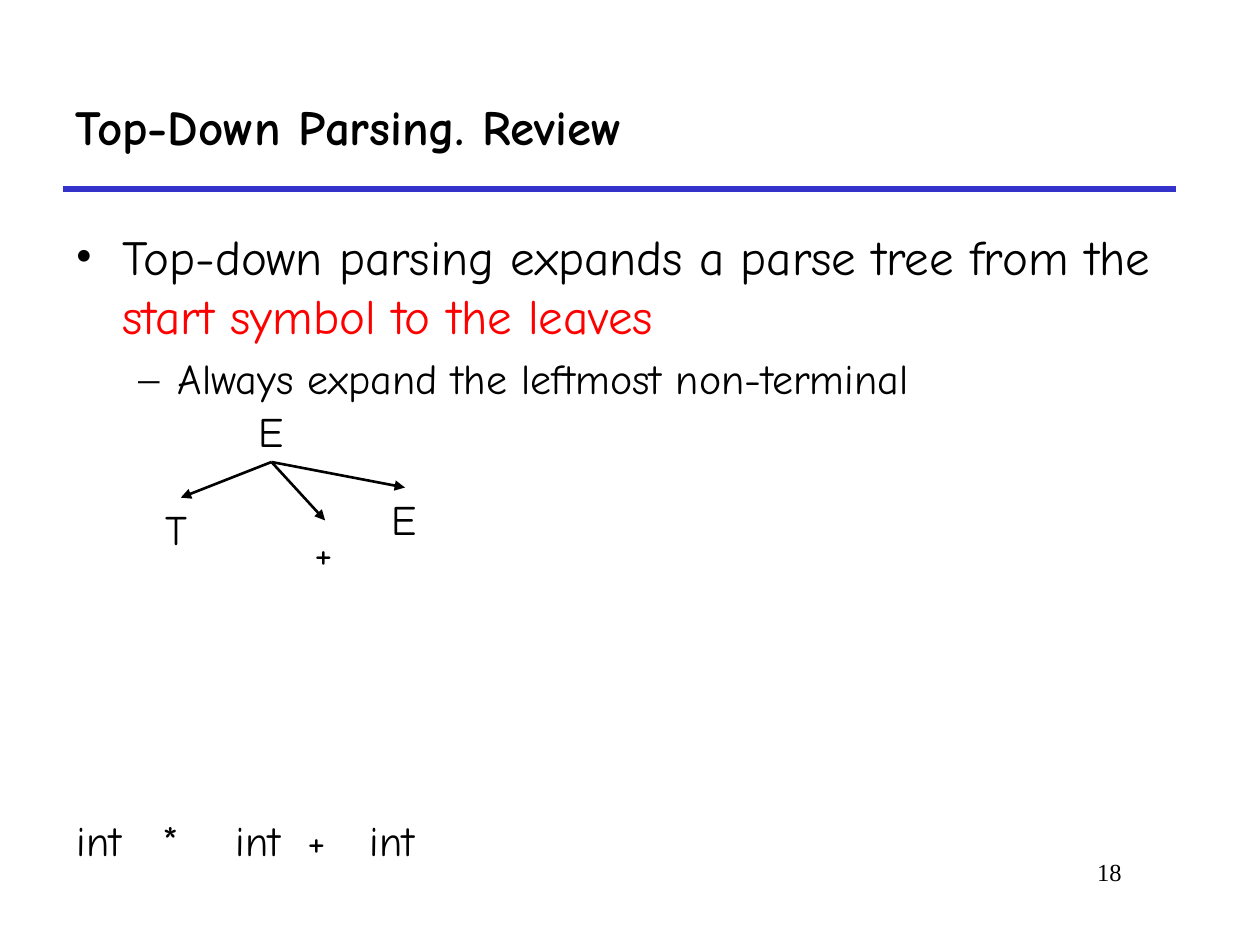
from lxml import etree
from pptx import Presentation
from pptx.dml.color import RGBColor
from pptx.enum.shapes import MSO_CONNECTOR
from pptx.enum.text import MSO_ANCHOR, MSO_AUTO_SIZE, PP_ALIGN
from pptx.oxml.ns import qn
from pptx.util import Pt

STRAIGHT = MSO_CONNECTOR.STRAIGHT
MIDDLE = MSO_ANCHOR.MIDDLE
FIT_SHAPE = MSO_AUTO_SIZE.SHAPE_TO_FIT_TEXT
LEFT, RIGHT = PP_ALIGN.LEFT, PP_ALIGN.RIGHT

BLACK = RGBColor(0, 0, 0)
RED = RGBColor(0xFF, 0, 0)
RULE_BLUE = RGBColor(0x33, 0x33, 0xCC)
MAIN_FONT = "Comic Neue"
PLAIN_FONT = "Times New Roman"
TOP, BOTTOM = 0, 2


def add_box(slide, left, top, width, height, wrap=True):
    box = slide.shapes.add_textbox(Pt(left), Pt(top), Pt(width), Pt(height))
    box.text_frame.word_wrap = wrap
    return box


def style(para, size, font=MAIN_FONT, bold=False, align=LEFT):
    para.alignment = align
    para.font.name = font
    para.font.size = Pt(size)
    para.font.bold = bold
    para.font.color.rgb = BLACK


def add_label(slide, text, left, top, width, height, size, **options):
    box = add_box(slide, left, top, width, height)
    para = box.text_frame.paragraphs[0]
    para.text = text
    style(para, size, **options)
    return box


def add_bullet(para, mark, margin, hanging):
    properties = para._p.get_or_add_pPr()
    properties.set("marL", str(Pt(margin)))
    properties.set("indent", str(-Pt(hanging)))
    etree.SubElement(properties, qn("a:buFont"), typeface=PLAIN_FONT)
    etree.SubElement(properties, qn("a:buChar"), char=mark)


def add_tabs(para, stops):
    tabs = etree.SubElement(para._p.get_or_add_pPr(), qn("a:tabLst"))
    for stop in stops:
        etree.SubElement(tabs, qn("a:tab"), pos=str(Pt(stop)), algn="l")


def add_line(slide, start, end, color, width):
    line = slide.shapes.add_connector(STRAIGHT, *map(Pt, start + end))
    line.line.color.rgb = color
    line.line.width = Pt(width)
    etree.SubElement(line._element.spPr, qn("a:effectLst"))
    return line


def add_node(slide, text, left, top, width):
    node = add_label(slide, text, left, top, width, 36, 24)
    node.text_frame.word_wrap = False
    node.text_frame.auto_size = FIT_SHAPE
    return node


def add_branch(slide, parent, child):
    arrow = add_line(slide, (0, 0), (0, 0), BLACK, 1.5)
    arrow.begin_connect(parent, BOTTOM)
    arrow.end_connect(child, TOP)
    etree.SubElement(arrow.line._get_or_add_ln(), qn("a:tailEnd"), type="triangle")


def add_body(slide):
    frame = add_box(slide, 36, 126, 654, 348).text_frame
    main_point = frame.paragraphs[0]
    main_point.add_run().text = "Top-down parsing expands a parse tree from the "
    span = main_point.add_run()
    span.text = "start symbol to the leaves"
    span.font.color.rgb = RED
    detail = frame.add_paragraph()
    detail.text = "Always expand the leftmost non-terminal"
    detail.level = 1
    for para, size, mark, margin, hanging in (
        (main_point, 28, "•", 27, 27),
        (detail, 24, "–", 58.5, 22.5),
    ):
        style(para, size)
        para.space_before = Pt(size * 0.2)
        add_bullet(para, mark, margin, hanging)


def main():
    deck = Presentation()
    deck.slide_width, deck.slide_height = Pt(720), Pt(540)
    slide = deck.slides.add_slide(deck.slide_layouts[6])

    # Heading, rule and page number
    add_line(slide, (36, 108), (672, 108), RULE_BLUE, 3)
    add_label(slide, "18", 498, 486, 150, 36, 14, font=PLAIN_FONT, align=RIGHT)
    title = add_label(slide, "Top-Down Parsing. Review", 36, 36, 636, 72, 28, bold=True)
    title.text_frame.vertical_anchor = MIDDLE

    add_body(slide)

    # Parse tree
    root = add_node(slide, "E", 140.4, 228, 29.5)
    for text, left, top, width in (
        ("T", 87.8, 284.4, 31),
        ("+", 172.8, 297.4, 26),
        ("E", 216.7, 278.6, 29.5),
    ):
        add_branch(slide, root, add_node(slide, text, left, top, width))

    # Input tokens, spaced by tab stops
    tokens = add_label(slide, "int\t*\tint\t+\tint", 36.7, 462.2, 216, 36, 24)
    add_tabs(tokens.text_frame.paragraphs[0], (49, 91, 132, 167.5))

    deck.save("out.pptx")


if __name__ == "__main__":
    main()
